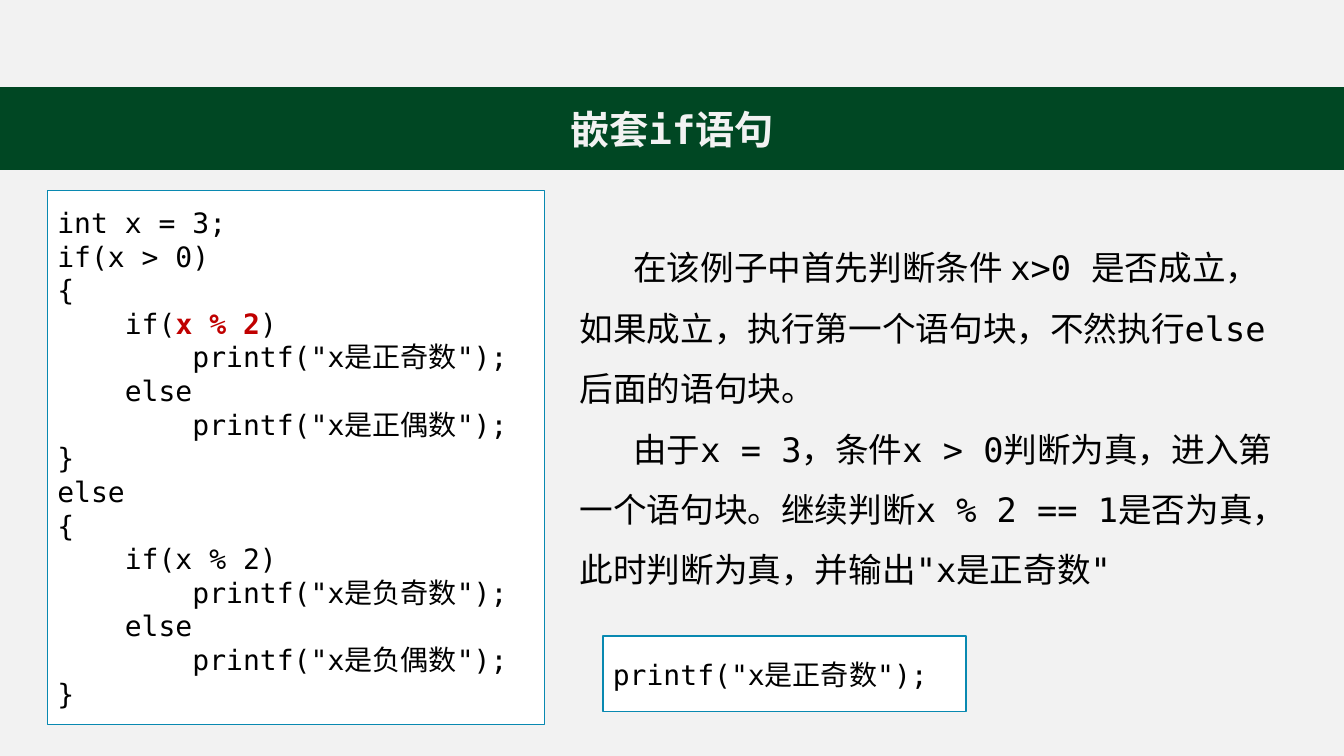
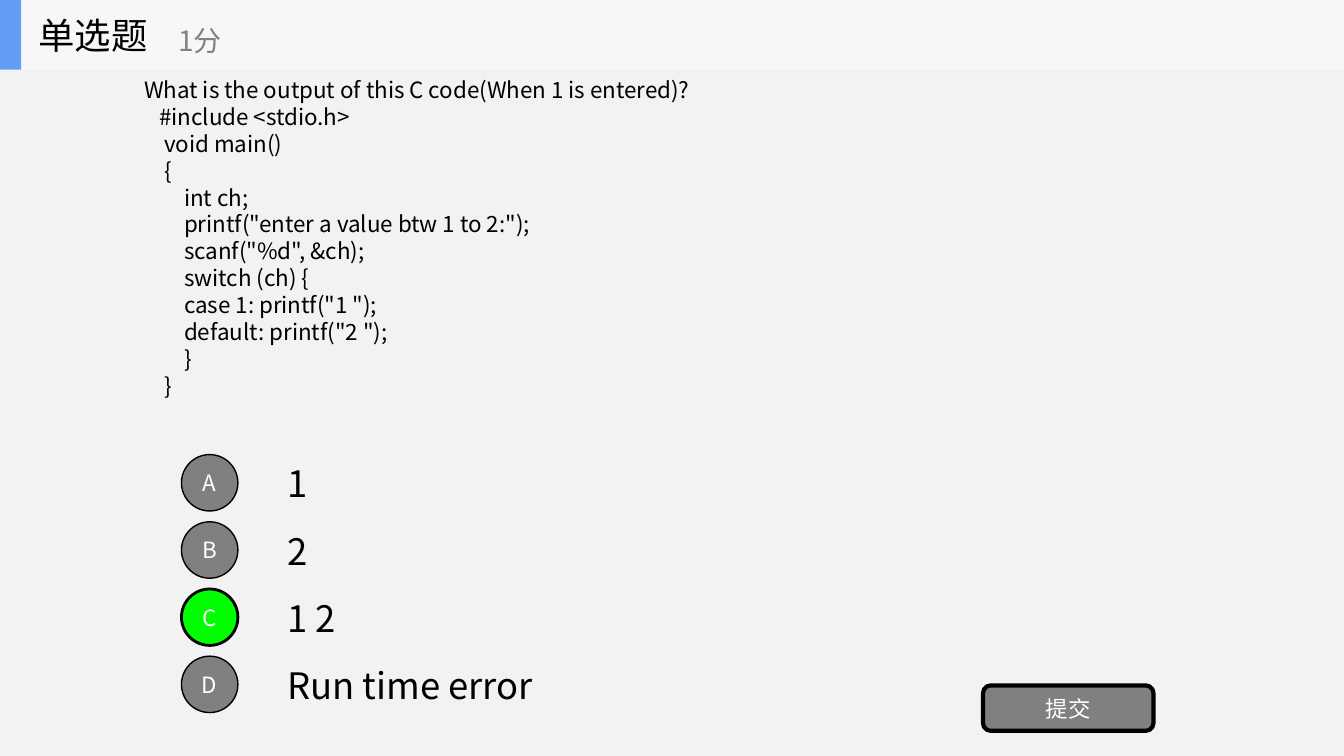
from lxml.etree import SubElement
from pptx import Presentation
from pptx.dml.color import RGBColor
from pptx.enum.shapes import MSO_SHAPE as Shape
from pptx.enum.text import MSO_ANCHOR as Anchor, MSO_AUTO_SIZE as AutoSize, PP_ALIGN as Align
from pptx.oxml.ns import qn
from pptx.util import Inches, Pt

COLORS = {
    "background": "F2F2F2", "green": "004723", "blue": "0989B1", "red": "C00000",
    "white": "FFFFFF", "black": "000000", "gray": "808080", "correct": "00FF00",
    "header": "F6F7F8", "accent": "639EF4",
}
SANS = "Noto Sans CJK SC"
MONO = "DejaVu Sans Mono"
WIDTH, HEIGHT = 13.33, 7.5

STYLES = {
    "title": {"name": SANS, "size": Pt(28), "bold": True, "color": "background"},
    "body": {"name": SANS, "size": Pt(24), "color": "black"},
    "code": {"name": MONO, "size": Pt(20), "color": "black"},
    "question": {"name": SANS, "size": Pt(16), "color": "black"},
    "button": {"name": SANS, "size": Pt(16), "color": "white"},
    "option": {"name": SANS, "size": Pt(26), "color": "black"},
    "score": {"name": SANS, "size": Pt(20), "color": "gray"},
}
MONO_RUN = {"name": MONO}
SANS_RUN = {"name": SANS}
HIGHLIGHT = {"bold": True, "color": "red"}

NESTED_CODE = [
    ["int x = 3;"],
    ["if(x > 0)"],
    ["{"],
    ["    if(", ("x % 2", HIGHLIGHT), ")"],
    ["        printf(\"x是正奇数\");"],
    ["    else"],
    ["        printf(\"x是正偶数\");"],
    ["}"],
    ["else"],
    ["{"],
    ["    if(x % 2)"],
    ["        printf(\"x是负奇数\");"],
    ["    else"],
    ["        printf(\"x是负偶数\");"],
    ["}"],
]
EXPLANATION = [
    ["在该例子中首先判断条件 ", ("x>0 ", MONO_RUN),
     "是否成立，如果成立，执行第一个语句块，不然执行", ("else", MONO_RUN), "后面的语句块。"],
    ["由于", ("x = 3", MONO_RUN), "，条件", ("x > 0", MONO_RUN),
     "判断为真，进入第一个语句块。继续判断", ("x % 2 == 1", MONO_RUN),
     "是否为真，此时判断为真，并输出", ("\"x是正奇数\"", MONO_RUN)],
]
QUESTION = """What is the output of this C code(When 1 is entered)?
   #include <stdio.h>
    void main()
    {
        int ch;
        printf("enter a value btw 1 to 2:");
        scanf("%d", &ch);
        switch (ch) {
        case 1: printf("1 ");
        default: printf("2 ");
        }
    }"""
OPTIONS = [("A", "1"), ("B", "2"), ("C", "1 2"), ("D", "Run time error")]
ANSWER = "C"


def color(name):
    return RGBColor.from_string(COLORS[name])


def set_attributes(target, values):
    for name, value in values.items():
        setattr(target, name, value)


def place(shape, box):
    names = ("left", "top", "width", "height")
    set_attributes(shape, dict(zip(names, map(Inches, box))))


def format_run(run, style):
    set_attributes(run.font, {key: value for key, value in style.items() if key != "color"})
    run.font.color.rgb = color(style["color"])
    east_asian = SubElement(run.font._element, qn("a:ea"))
    east_asian.set("typeface", SANS)


def write_text(shape, paragraphs, style, align=Align.LEFT, anchor=Anchor.MIDDLE,
               line_spacing=1.0, first_indent=0, inset=None):
    frame = shape.text_frame
    set_attributes(frame, {"word_wrap": True, "auto_size": AutoSize.NONE,
                           "vertical_anchor": anchor})
    if inset is not None:
        sides = ("margin_left", "margin_top", "margin_right", "margin_bottom")
        set_attributes(frame, dict.fromkeys(sides, Inches(inset)))
    for index, parts in enumerate(paragraphs):
        paragraph = frame.add_paragraph() if index else frame.paragraphs[0]
        properties = paragraph._p.get_or_add_pPr()
        properties.set("marL", "0")
        properties.set("indent", str(Inches(first_indent)))
        SubElement(properties, qn("a:buNone"))
        set_attributes(paragraph, {"alignment": align, "line_spacing": line_spacing,
                                   "space_before": Pt(0), "space_after": Pt(0)})
        for part in parts:
            text, changes = (part, {}) if isinstance(part, str) else part
            run = paragraph.add_run()
            run.text = text
            format_run(run, {**STYLES[style], **changes})


def add_box(slide, kind, box, fill, line=None, line_width=1):
    shape = slide.shapes.add_shape(kind, *map(Inches, box))
    shape.shadow.inherit = False
    paint(shape, fill, line, line_width)
    return shape


def paint(shape, fill, line=None, line_width=1):
    shape.fill.solid()
    shape.fill.fore_color.rgb = color(fill)
    if line:
        shape.line.color.rgb = color(line)
        shape.line.width = Pt(line_width)
    else:
        shape.line.fill.background()


def add_label(slide, box, text, style):
    label = slide.shapes.add_textbox(*map(Inches, box))
    write_text(label, [[text]], style)


def add_code_box(slide, box, lines):
    shape = add_box(slide, Shape.RECTANGLE, box, "white", "blue")
    write_text(shape, lines, "code")


def add_title_band(slide, box):
    title = slide.shapes.title
    place(title, box)
    paint(title, "green", "green")
    write_text(title, [["嵌套", ("if", MONO_RUN), ("语句", SANS_RUN)]], "title", Align.CENTER)


def add_question_header(slide, box):
    left, top, width, height = box
    add_box(slide, Shape.RECTANGLE, box, "header")
    add_box(slide, Shape.RECTANGLE, (left, top, 0.21, height), "accent")
    title = slide.shapes.title
    place(title, (left + 0.28, top, 1.39, height))
    write_text(title, [["单选题"]], "option")
    slide.shapes._spTree.append(title._element)
    add_label(slide, (left + 1.67, top + 0.12, 2.5, 0.56), "1分", "score")


def add_options(slide, box):
    left, top, width, height = box
    diameter = 0.56
    pitch = (height - diameter) / (len(OPTIONS) - 1)
    for index, (letter, text) in enumerate(OPTIONS):
        option_top = top + index * pitch
        fill, line_width = ("correct", 2) if letter == ANSWER else ("gray", 1)
        circle = add_box(slide, Shape.OVAL, (left, option_top, diameter, diameter),
                         fill, "black", line_width)
        write_text(circle, [[letter]], "button", Align.CENTER)
        add_label(slide, (left + 0.95, option_top + 0.02, width - 0.95, 0.53), text, "option")


def add_submit_button(slide, box):
    button = add_box(slide, Shape.ROUNDED_RECTANGLE, box, "gray", "black", 3)
    write_text(button, [["提交"]], "button", Align.CENTER)


def build_lesson_slide(slide):
    add_title_band(slide, (0, 0.87, WIDTH, 0.81))
    body = slide.placeholders[1]
    place(body, (5.75, 2.25, 7.06, 3.63))
    write_text(body, EXPLANATION, "body", anchor=Anchor.TOP,
               line_spacing=1.5, first_indent=0.53, inset=0)
    add_code_box(slide, (0.47, 1.89, 4.93, 5.3), NESTED_CODE)
    add_code_box(slide, (5.98, 6.31, 3.6, 0.75), [["printf(\"x是正奇数\");"]])


def build_quiz_slide(slide):
    body = slide.placeholders[1]
    place(body, (1.33, 0.69, 6.23, 3.33))
    write_text(body, [[line] for line in QUESTION.split("\n")], "question")
    add_options(slide, (1.8, 4.51, 3.77, 2.56))
    add_submit_button(slide, (9.75, 6.8, 1.69, 0.45))
    add_question_header(slide, (0, 0, WIDTH, 0.69))


def main():
    presentation = Presentation()
    set_attributes(presentation, {"slide_width": Inches(WIDTH), "slide_height": Inches(HEIGHT)})
    background = presentation.slide_master.background.fill
    background.solid()
    background.fore_color.rgb = color("background")
    for build in (build_lesson_slide, build_quiz_slide):
        build(presentation.slides.add_slide(presentation.slide_layouts[1]))
    presentation.save("out.pptx")


if __name__ == "__main__":
    main()
